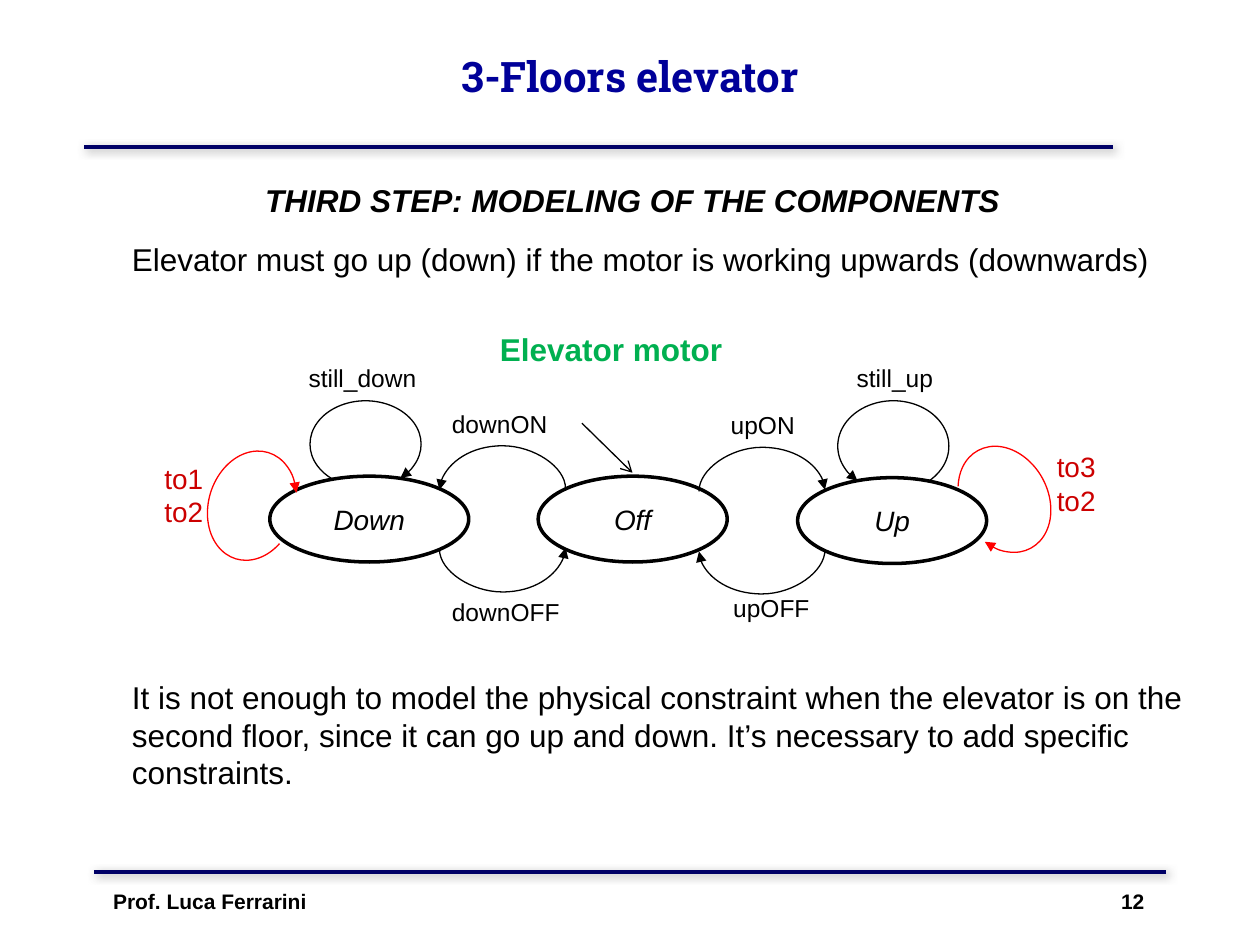
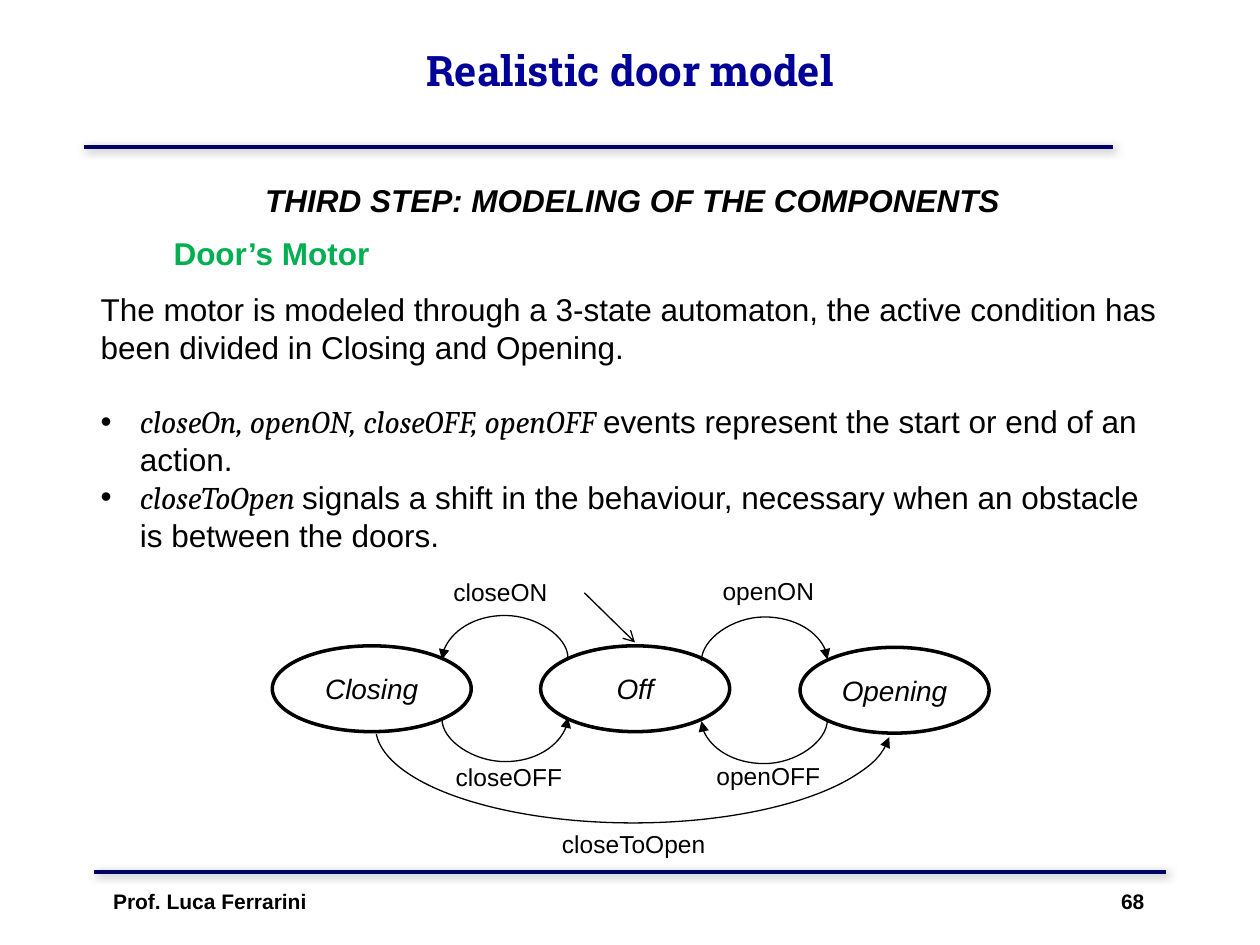
"""Build two lecture slides with state automata of an elevator motor and a door motor."""
from dataclasses import dataclass

from lxml import etree
from pptx import Presentation
from pptx.dml.color import RGBColor
from pptx.enum.shapes import MSO_CONNECTOR, MSO_SHAPE
from pptx.enum.text import MSO_ANCHOR, PP_ALIGN
from pptx.oxml.ns import qn
from pptx.util import Cm, Pt

LEFT, CENTER, RIGHT = PP_ALIGN.LEFT, PP_ALIGN.CENTER, PP_ALIGN.RIGHT
TOP, MIDDLE = MSO_ANCHOR.TOP, MSO_ANCHOR.MIDDLE
STRAIGHT, CURVE = MSO_CONNECTOR.STRAIGHT, MSO_CONNECTOR.CURVE
ARC, OVAL = MSO_SHAPE.ARC, MSO_SHAPE.OVAL

COLORS = {
    "rule": "000066", "title": "000099", "ink": "000000", "paper": "FFFFFF",
    "accent": "00B050", "timeout": "CC0000", "red": "FF0000", "shadow": "808080",
}
STYLES = {
    "title": ("title", {"name": "Roboto Slab", "size": Pt(24), "bold": True}),
    "step": ("ink", {"name": "Arial", "size": Pt(18), "bold": True, "italic": True}),
    "body": ("ink", {"name": "Arial", "size": Pt(18)}),
    "event": ("ink", {"name": "Cambria", "size": Pt(18), "italic": True}),
    "head": ("accent", {"name": "Arial", "size": Pt(18), "bold": True}),
    "state": ("ink", {"name": "Arial", "size": Pt(16), "italic": True}),
    "label": ("ink", {"name": "Arial", "size": Pt(14)}),
    "timeout": ("timeout", {"name": "Arial", "size": Pt(16)}),
    "footer": ("ink", {"name": "Arial", "size": Pt(12), "bold": True}),
}
BOW_SPAN, BOW_DEPTH, BOW_SKEW = 2.54, 0.89, 0.035


@dataclass
class Label:
    text: str
    x: float
    y: float
    w: float
    h: float = 0.86
    style: str = "label"
    align: PP_ALIGN = LEFT
    anchor: MSO_ANCHOR = TOP


@dataclass
class Arc:
    x: float
    y: float
    w: float
    h: float
    start: float
    end: float
    flips: str = ""
    rotation: float = 0
    color: str = "ink"


@dataclass
class State:
    x: float
    y: float
    w: float


@dataclass
class Bow:
    x: float
    y: float
    up: bool
    arrow: str


STATES = [State(5.44, 9.6, 4.01), State(10.85, 9.6, 3.81), State(16.08, 9.63, 3.81)]
BOWS = [
    Bow(10.13, 9.86, True, "headEnd"), Bow(10.13, 11.06, False, "headEnd"),
    Bow(15.36, 9.89, True, "tailEnd"), Bow(15.36, 11.1, False, "tailEnd"),
]
ELEVATOR_LABELS = [
    Label("Elevator must go up (down) if the motor is working upwards (downwards)",
          2.41, 4.72, 21.95, 1.02, "body"),
    Label("It is not enough to model the physical constraint when the elevator is on "
          "the second floor, since it can go up and down. It’s necessary to add "
          "specific constraints.", 2.41, 13.54, 21.95, 2.57, "body"),
    Label("Elevator motor", 9.83, 6.53, 5.54, 1.02, "head"),
    Label("still_down", 5.97, 7.19, 2.92),
    Label("still_up", 17.02, 7.19, 2.92),
    Label("downON", 8.86, 8.13, 2.54),
    Label("downOFF", 8.86, 11.91, 2.87),
    Label("upON", 14.48, 8.15, 2.54),
    Label("upOFF", 14.53, 11.84, 2.18),
    Label("to1\nto2", 2.08, 9.17, 3.25, 1.63, "timeout", CENTER),
    Label("to3\nto2", 20.07, 8.94, 3.25, 1.63, "timeout", CENTER),
]
ELEVATOR_ARCS = [
    Arc(3.96, 9.32, 2.24, 1.75, 73.9, 31.73, "H", 287, "red"),
    Arc(19.13, 9.19, 2.24, 1.75, 76.1, 27.6, "H", 61.7, "red"),
    Arc(6.25, 8.08, 2.24, 1.75, 81.6, 27.6, "H"),
    Arc(16.89, 8.08, 2.24, 1.83, 81.6, 27.6),
]
DOOR_LABELS = [
    Label("Door’s Motor", 3.25, 4.6, 14.43, 1.02, "head"),
    Label("closeON", 8.89, 11.51, 2.54),
    Label("closeOFF", 8.89, 15.24, 2.74, align=CENTER),
    Label("openON", 14.22, 11.48, 2.54, align=CENTER),
    Label("openOFF", 14.12, 15.21, 2.74, align=CENTER),
    Label("closeToOpen", 11.05, 16.59, 3.45, align=CENTER),
]
DOOR_ARC = Arc(7.57, 12.7, 10.39, 3.89, 109.44, 214.96, "HV")
DOOR_INTRO = Label("The motor is modeled through a 3-state automaton, the active condition "
                   "has been divided in Closing and Opening.", 1.78, 5.72, 21.95, 5.64, "body")
DOOR_EVENTS = [
    ("closeOn, openON, closeOFF, openOFF ",
     "events represent the start or end of an action.", 21),
    ("closeToOpen ", "signals a shift in the behaviour, necessary when an obstacle "
     "is between the doors.", 0),
]


def rgb(name: str) -> RGBColor:
    """Return the named colour."""
    return RGBColor.from_string(COLORS[name])


def sub(parent, tag: str, **attrs: str):
    """Append a child element with attributes."""
    return etree.SubElement(parent, qn(tag), attrs)


def add_run(p, text: str, style: str) -> None:
    """Append a styled run to a paragraph."""
    color, fmt = STYLES[style]
    r = p.add_run()
    r.text = text
    for key, value in fmt.items():
        setattr(r.font, key, value)
    r.font.color.rgb = rgb(color)


def add_label(s, label: Label):
    """Draw a text box and return its text frame."""
    sp = s.shapes.add_textbox(Cm(label.x), Cm(label.y), Cm(label.w), Cm(label.h))
    tf = sp.text_frame
    tf.word_wrap = True
    tf.vertical_anchor = label.anchor
    for i, line in enumerate(label.text.split("\n")):
        p = tf.add_paragraph() if i else tf.paragraphs[0]
        p.alignment = label.align
        add_run(p, line, label.style)
    return tf


def add_bullet(tf, event: str, text: str, space: float) -> None:
    """Append a bulleted paragraph that opens with event names."""
    p = tf.add_paragraph()
    pPr = p._p.get_or_add_pPr()
    pPr.set("marL", str(Cm(0.79)))
    pPr.set("indent", str(-Cm(0.79)))
    sub(pPr, "a:buFont", typeface="Arial")
    sub(pPr, "a:buChar", char="•")
    p.space_before = Pt(space)
    add_run(p, event, "event")
    add_run(p, text, "body")


def set_line(sp, color: str, width: float) -> None:
    """Colour and size an outline."""
    sp.line.color.rgb = rgb(color)
    sp.line.width = Pt(width)


def add_arrowhead(sp, end: str, kind: str = "triangle") -> None:
    """Put an arrowhead on one end of a line."""
    sub(sp._element.spPr.find(qn("a:ln")), f"a:{end}", type=kind)


def flip(sp, axes: str) -> None:
    """Mirror a shape along the given axes."""
    for axis in axes:
        sp._element.spPr.xfrm.set(f"flip{axis}", "1")


def add_line(s, kind: MSO_CONNECTOR, x1: float, y1: float, x2: float, y2: float,
             color: str = "ink", width: float = 0.75):
    """Draw a connector and return it with its empty effect list."""
    sp = s.shapes.add_connector(kind, Cm(x1), Cm(y1), Cm(x2), Cm(y2))
    set_line(sp, color, width)
    return sp, sub(sp._element.spPr, "a:effectLst")


def add_rule(s, x1: float, x2: float, y: float) -> None:
    """Draw a horizontal rule with a soft shadow."""
    _, effects = add_line(s, STRAIGHT, x1, y, x2, y, "rule", 2.25)
    shadow = sub(effects, "a:outerShdw", blurRad=str(Pt(5)), dist=str(Pt(1.4)),
                 dir="2700000", algn="ctr", rotWithShape="0")
    color = sub(shadow, "a:srgbClr", val=COLORS["shadow"])
    sub(color, "a:alpha", val="75000")


def add_arc(s, arc: Arc) -> None:
    """Draw an arc with an arrowhead at its start."""
    sp = s.shapes.add_shape(ARC, Cm(arc.x), Cm(arc.y), Cm(arc.w), Cm(arc.h))
    sp.shadow.inherit = False
    sp.fill.background()
    sp.adjustments[0], sp.adjustments[1] = arc.start, arc.end
    sp.rotation = arc.rotation
    flip(sp, arc.flips)
    set_line(sp, arc.color, 0.75)
    add_arrowhead(sp, "headEnd")


def add_bow(s, bow: Bow, dx: float, dy: float) -> None:
    """Draw a curved transition between neighbouring states."""
    x, y = bow.x + dx - BOW_SKEW / 2, bow.y + dy - BOW_SPAN / 2
    sp, _ = add_line(s, CURVE, x, y, x + BOW_SKEW, y + BOW_SPAN)
    sp._element.spPr.xfrm.set("rot", "5400000")
    flip(sp, "HV" if bow.up else "")
    geom = sp._element.spPr.find(qn("a:prstGeom"))
    guides = geom.find(qn("a:avLst"))
    if guides is None:
        guides = sub(geom, "a:avLst")
    sub(guides, "a:gd", name="adj1", fmla=f"val {round(BOW_DEPTH / BOW_SKEW * 100000)}")
    add_arrowhead(sp, bow.arrow)


def add_automaton(s, names: list[str], dx: float = 0, dy: float = 0) -> None:
    """Draw three states, their transitions and the initial arrow."""
    for name, state in zip(names, STATES):
        sp = s.shapes.add_shape(OVAL, Cm(state.x + dx), Cm(state.y + dy), Cm(state.w), Cm(1.73))
        sp.shadow.inherit = False
        sp.fill.solid()
        sp.fill.fore_color.rgb = rgb("paper")
        set_line(sp, "ink", 2)
        tf = sp.text_frame
        tf.word_wrap = False
        tf.vertical_anchor = MIDDLE
        tf.paragraphs[0].alignment = CENTER
        add_run(tf.paragraphs[0], name, "state")
    for bow in BOWS:
        add_bow(s, bow, dx, dy)
    sp, _ = add_line(s, STRAIGHT, 11.73 + dx, 8.53 + dy, 12.75 + dx, 9.53 + dy)
    add_arrowhead(sp, "tailEnd", "arrow")


def add_slide(prs, title: str, title_h: float, number: int):
    """Add a slide with title, rules, step heading and footer."""
    s = prs.slides.add_slide(prs.slide_layouts[6])
    add_rule(s, 1.7, 22.43, 2.97)
    add_rule(s, 1.9, 23.5, 17.58)
    for label in (
        Label(title, 1.9, 0, 21.6, title_h, "title", CENTER, MIDDLE),
        Label("THIRD STEP: MODELING OF THE COMPONENTS", 1.78, 3.53, 21.95, 1.02, "step", CENTER),
        Label("Prof. Luca Ferrarini", 2.03, 17.78, 10, 1.27, "footer"),
        Label(str(number), 20.32, 17.78, 3, 1.27, "footer", RIGHT),
    ):
        add_label(s, label)
    return s


def main() -> None:
    """Build and save the slides."""
    prs = Presentation()
    prs.slide_width, prs.slide_height = Cm(25.4), Cm(19.05)

    s = add_slide(prs, "3-Floors elevator", 3.07, 12)
    add_automaton(s, ["Down", "Off", "Up"])
    for arc in ELEVATOR_ARCS:
        add_arc(s, arc)
    for label in ELEVATOR_LABELS:
        add_label(s, label)

    s = add_slide(prs, "Realistic door model", 2.81, 68)
    add_automaton(s, ["Closing", "Off", "Opening"], 0.05, 3.42)
    add_arc(s, DOOR_ARC)
    for label in DOOR_LABELS:
        add_label(s, label)
    tf = add_label(s, DOOR_INTRO)
    for event, text, space in DOOR_EVENTS:
        add_bullet(tf, event, text, space)

    prs.save("out.pptx")


if __name__ == "__main__":
    main()
